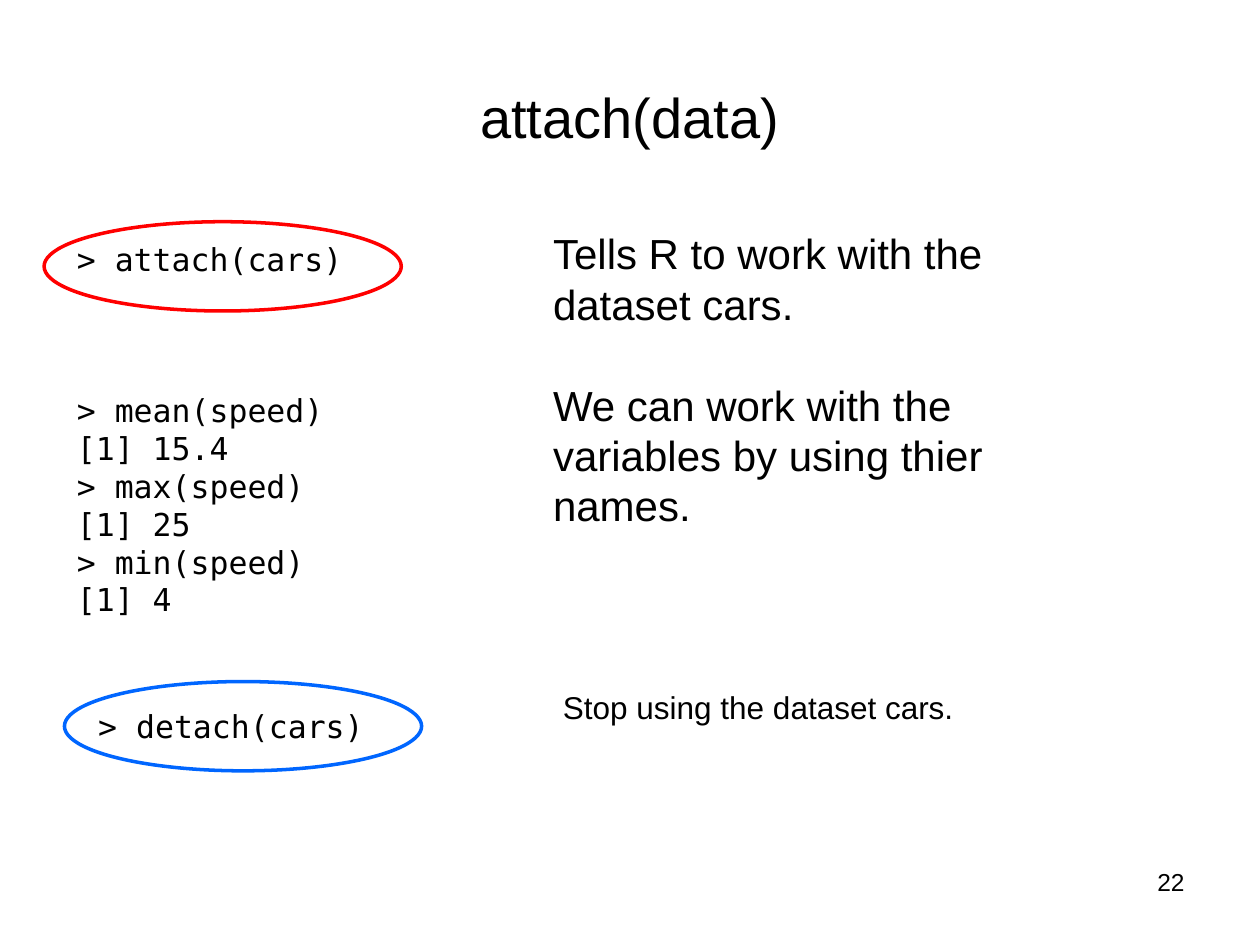
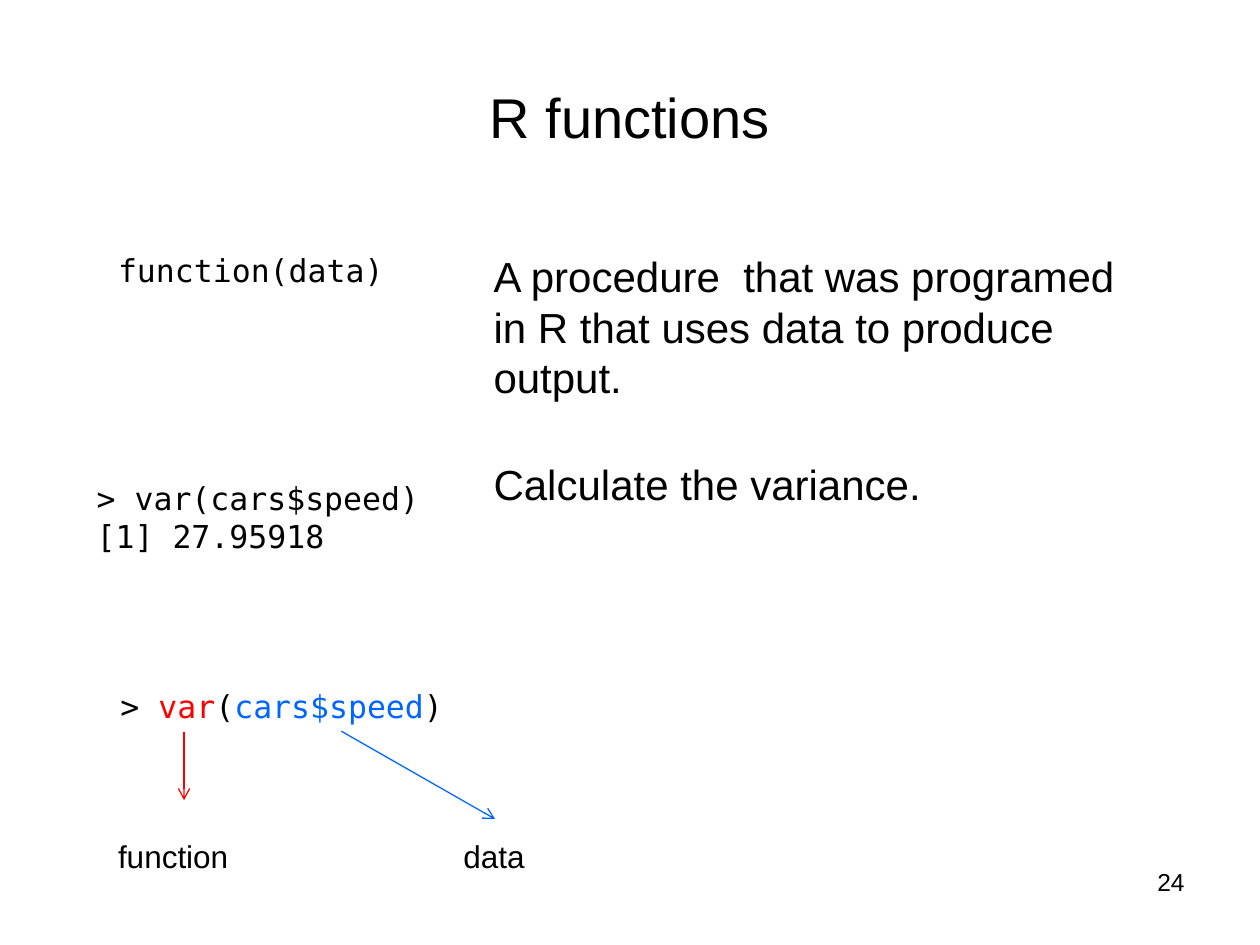
from dataclasses import dataclass

from lxml import etree
from pptx import Presentation
from pptx.dml.color import RGBColor
from pptx.enum.shapes import MSO_CONNECTOR, MSO_SHAPE
from pptx.enum.text import MSO_ANCHOR as Anchor, PP_ALIGN as Align
from pptx.oxml.ns import qn
from pptx.util import Cm, Pt

COLORS = {"text": "000000", "function": "FF0000", "data": "0066FF"}
BODY_FONT, CODE_FONT = "Arial", "DejaVu Sans Mono"
TITLE_SIZE, NOTE_SIZE, CODE_SIZE, NUMBER_SIZE = 32, 24, 18, 14
LINE_SPACING = 1.2
LINE_HEIGHT = 1.02


@dataclass
class Box:
    """A rectangle in centimetres."""
    left: float
    top: float
    width: float
    height: float

    def inner(self, dx, dy, width, height):
        return Box(self.left + dx, self.top + dy, width, height)

    def lengths(self):
        return [Cm(value) for value in (self.left, self.top, self.width, self.height)]


def color(name):
    return RGBColor.from_string(COLORS[name])


def add_text(page, box, lines, size, font=BODY_FONT, align=Align.LEFT,
             anchor=Anchor.TOP, blank_lines=0):
    """Write lines, each a string or (text, colour) pairs; blank_lines sets the gap after the first."""
    frame = page.shapes.add_textbox(*box.lengths()).text_frame
    frame.word_wrap = True
    frame.vertical_anchor = anchor
    for index, line in enumerate(lines):
        para = frame.add_paragraph() if index else frame.paragraphs[0]
        para.alignment = align
        para.line_spacing = Pt(size * LINE_SPACING)
        para.font.name, para.font.size = font, Pt(size)
        for text, ink in [(line, "text")] if isinstance(line, str) else line:
            span = para.add_run()
            span.text = text
            span.font.color.rgb = color(ink)
    frame.paragraphs[0].space_after = Pt(blank_lines * size * LINE_SPACING)


def add_code(page, box, lines, blank_lines=0):
    add_text(page, box, lines, CODE_SIZE, CODE_FONT, blank_lines=blank_lines)


def add_ring(page, box, ink):
    ring = page.shapes.add_shape(MSO_SHAPE.OVAL, *box.lengths())
    ring.shadow.inherit = False
    ring.fill.background()
    ring.line.color.rgb = color(ink)
    ring.line.width = Pt(2)


def add_arrow(page, start, end, ink):
    arrow = page.shapes.add_connector(
        MSO_CONNECTOR.STRAIGHT, *[Cm(value) for value in (*start, *end)])
    arrow.line.color.rgb = color(ink)
    arrow.line.width = Pt(0.75)
    etree.SubElement(arrow.line._get_or_add_ln(), qn("a:tailEnd"), type="arrow")
    etree.SubElement(arrow._element.spPr, qn("a:effectLst"))


def add_page(deck, title, number):
    page = deck.slides.add_slide(deck.slide_layouts[6])
    add_text(page, Box(1.27, 0.76, 22.86, 3.18), [title], TITLE_SIZE,
             align=Align.CENTER, anchor=Anchor.MIDDLE)
    add_text(page, Box(18.21, 17.35, 5.92, 1.32), [str(number)], NUMBER_SIZE,
             align=Align.RIGHT)
    return page


def attach_region(page, box):
    add_code(page, box.inner(0.41, 0.25, 7.39, 7.87),
             ["> attach(cars)", "> mean(speed)", "[1] 15.4", "> max(speed)",
              "[1] 25", "> min(speed)", "[1] 4"], blank_lines=3)
    add_ring(page, box.inner(0, 0, 7.2, 1.8), "function")
    add_text(page, box.inner(10.01, 0, 10.59, 6.35),
             ["Tells R to work with the dataset cars.",
              "We can work with the variables by using thier names."],
             NOTE_SIZE, blank_lines=1)


def detach_region(page, box):
    add_code(page, box.inner(0.43, 0.38, 6.58, LINE_HEIGHT), ["> detach(cars)"])
    add_ring(page, box.inner(0, 0, 7.2, 1.8), "data")
    add_text(page, box.inner(9.8, 0, 8.99, LINE_HEIGHT),
             ["Stop using the dataset cars."], CODE_SIZE)


def definition_region(page, box):
    add_code(page, box.inner(0.43, 0, 6.58, LINE_HEIGHT), ["function(data)"])
    add_code(page, box.inner(0, 4.6, 8.59, 1.78), ["> var(cars$speed)", "[1] 27.95918"])
    add_text(page, box.inner(8, 0, 13.59, 3.3),
             ["A procedure  that was programed in R that uses data to produce output."],
             NOTE_SIZE)
    add_text(page, box.inner(8, 4.19, 13.59, 1.27), ["Calculate the variance."], NOTE_SIZE)


def call_anatomy_region(page, box):
    """Show a call with arrows from its parts to their labels."""
    call = [("> ", "text"), ("var", "function"), ("(", "text"),
            ("cars$speed", "data"), (")", "text")]
    add_code(page, box.inner(0.05, 0, 8.59, LINE_HEIGHT), [call])
    parts = [("function", 0, 5.77, (1.58, 1.04), (1.58, 2.41)),
             ("data", 6.96, 2.41, (4.75, 1.02), (7.85, 2.79))]
    for name, dx, width, start, end in parts:
        ends = [(box.left + x, box.top + y) for x, y in (start, end)]
        add_arrow(page, *ends, name)
        add_text(page, box.inner(dx, 3.02, width, LINE_HEIGHT), [name], CODE_SIZE)


def main():
    deck = Presentation()
    deck.slide_width, deck.slide_height = Cm(25.4), Cm(19.05)

    page = add_page(deck, "attach(data)", 22)
    attach_region(page, Box(0.89, 4.47, 20.6, 8.12))
    detach_region(page, Box(1.3, 13.74, 18.79, 1.8))

    page = add_page(deck, "R functions", 24)
    definition_region(page, Box(1.7, 4.93, 21.59, 6.38))
    call_anatomy_region(page, Box(2.13, 13.72, 9.37, 4.04))

    deck.save("out.pptx")


if __name__ == "__main__":
    main()
